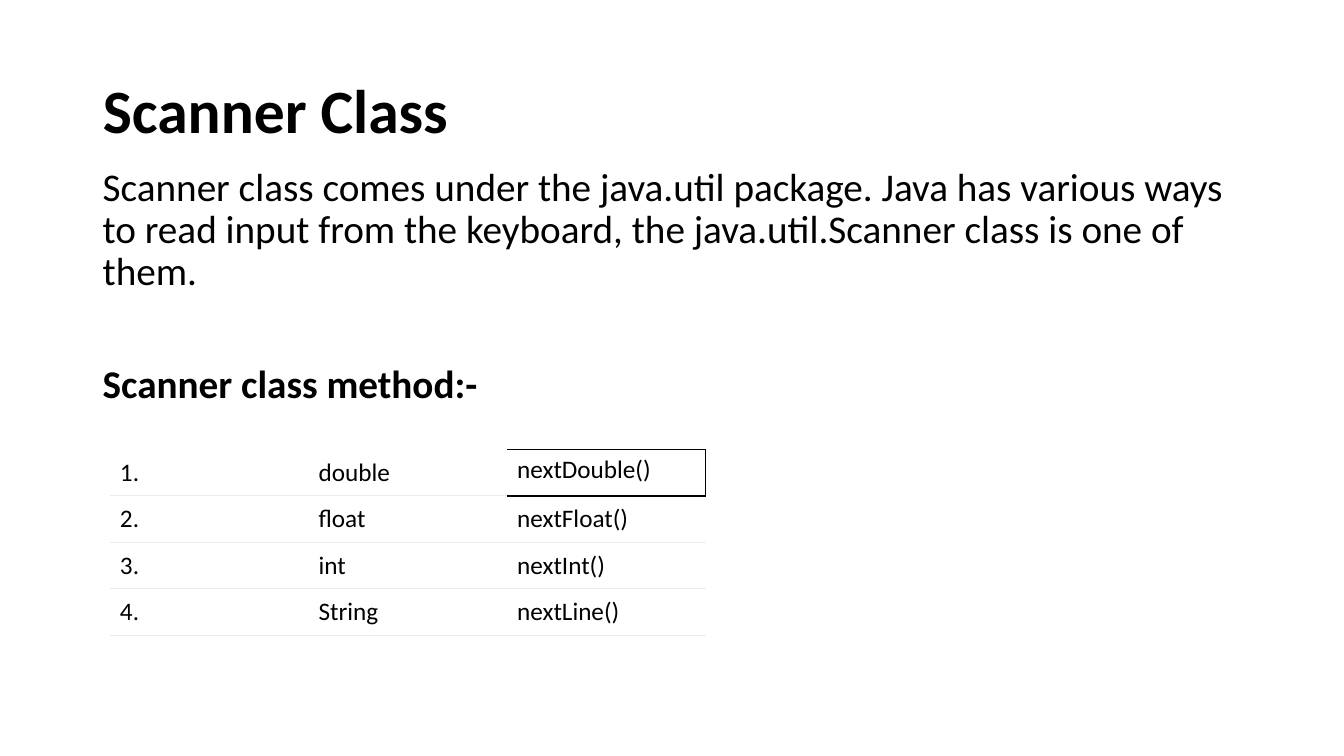
"""Builds a slide on the Scanner class with a table of its methods."""
from dataclasses import dataclass

from lxml.etree import SubElement
from pptx import Presentation
from pptx.dml.color import RGBColor
from pptx.enum.text import MSO_ANCHOR, PP_ALIGN
from pptx.oxml.ns import qn
from pptx.util import Inches, Pt


@dataclass(frozen=True)
class Theme:
    font: str = "Calibri"
    ink: str = "000000"
    paper: str = "FFFFFF"
    rule: str = "EBEBEB"
    head: int = 44
    body: int = 28
    cell: int = 18


theme = Theme()


def style(para, size, bold=False):
    font = para.font
    font.name, font.size, font.bold = theme.font, Pt(size), bold
    font.color.rgb = RGBColor.from_string(theme.ink)
    para.alignment = PP_ALIGN.LEFT


def border(cell, side, color, width):
    line = SubElement(cell._tc.get_or_add_tcPr(), qn(f"a:ln{side}"), w=str(Pt(width)))
    fill = SubElement(line, qn("a:solidFill"))
    SubElement(fill, qn("a:srgbClr"), val=color)


deck = Presentation()
deck.slide_width, deck.slide_height = Inches(13.33), Inches(7.5)
slide = deck.slides.add_slide(deck.slide_layouts[5])

title = slide.shapes.title
title.left, title.top = Inches(0.92), Inches(0.4)
title.width, title.height = Inches(11.5), Inches(1.45)
title.text_frame.text = "Scanner Class"
title.text_frame.vertical_anchor = MSO_ANCHOR.MIDDLE
para = title.text_frame.paragraphs[0]
style(para, theme.head, True)
para.line_spacing = 0.9

body = slide.shapes.add_textbox(Inches(0.92), Inches(1.61), Inches(11.5), Inches(5.15))
frame = body.text_frame
frame.word_wrap = True
frame.text = (
    "Scanner class comes under the java.util package. Java has various ways "
    "to read input from the keyboard, the java.util.Scanner class is one of them.\n"
    "Scanner class method:-"
)
for para, bold, gap in zip(frame.paragraphs, (False, True), (0, 50)):
    style(para, theme.body, bold)
    para.line_spacing, para.space_before = 0.9, Pt(gap)

rows = [
    ("double", "nextDouble()"),
    ("float", "nextFloat()"),
    ("int", "nextInt()"),
    ("String", "nextLine()"),
]
table = slide.shapes.add_table(
    len(rows), 3, Inches(1.09), Inches(4.46), Inches(5.91), Inches(1.84)
).table
table.first_row = table.horz_banding = False
table._tbl.tblPr.find(qn("a:tableStyleId")).text = "{2D5ABB26-0587-4C30-8999-92F81FD0307C}"

for r, (kind, method) in enumerate(rows):
    for c, text in enumerate((f"{r + 1}.", kind, method)):
        cell = table.cell(r, c)
        cell.text = text
        style(cell.text_frame.paragraphs[0], theme.cell)
        boxed = (r, c) == (0, 2)
        cell.vertical_anchor = MSO_ANCHOR.TOP if boxed else MSO_ANCHOR.MIDDLE
        if boxed:
            for side, width in (("R", 0.75), ("T", 0.75), ("B", 1.5)):
                border(cell, side, theme.ink, width)
        else:
            border(cell, "B", theme.rule, 0.75)
        cell.fill.solid()
        cell.fill.fore_color.rgb = RGBColor.from_string(theme.paper)

deck.save("out.pptx")
